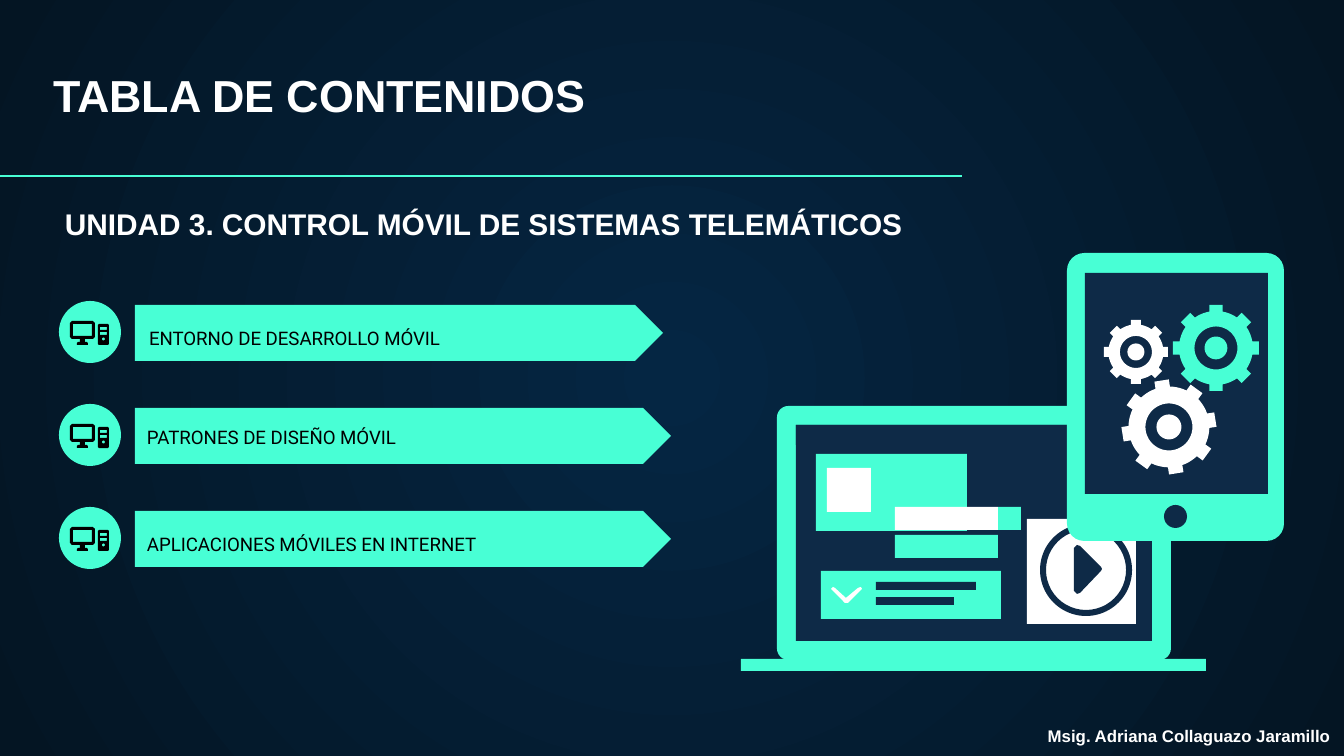
from itertools import product
from math import asin, cos, pi, radians, sin

from lxml import etree
from pptx import Presentation
from pptx.dml.color import RGBColor
from pptx.enum.shapes import MSO_CONNECTOR, MSO_SHAPE
from pptx.enum.text import MSO_ANCHOR, PP_ALIGN
from pptx.oxml.ns import qn
from pptx.util import Pt

RECT, ROUND = MSO_SHAPE.RECTANGLE, MSO_SHAPE.ROUNDED_RECTANGLE
OVAL, DONUT, ARROW = MSO_SHAPE.OVAL, MSO_SHAPE.DONUT, MSO_SHAPE.PENTAGON
STRAIGHT = MSO_CONNECTOR.STRAIGHT
TOP, MIDDLE, BOTTOM = MSO_ANCHOR.TOP, MSO_ANCHOR.MIDDLE, MSO_ANCHOR.BOTTOM
LEFT, RIGHT, JUSTIFY = PP_ALIGN.LEFT, PP_ALIGN.RIGHT, PP_ALIGN.JUSTIFY

SCALE = 914400 / 134.4
WIDE, HIGH = 1344, 756
COLORS = {"mint": "48FFD5", "navy": "0E2A47", "white": "FFFFFF",
          "black": "000000", "core": "052643", "edge": "041523"}

SCREEN = [(2, 0), (23, 0), (25, 2), (25, 16), (23, 18), (15, 18), (15, 21),
          (17, 21), (18, 22), (18, 24), (7, 24), (7, 22), (8, 21), (10, 21),
          (10, 18), (2, 18), (0, 16), (0, 2)]
GLASS = [(3, 3), (22, 3), (22, 15), (3, 15)]
TOWER = [(29, 3), (38, 3), (39, 4), (39, 23), (38, 24), (29, 24), (28, 23), (28, 4)]
SLOTS = [[(30, y), (37, y), (37, y + 3), (30, y + 3)] for y in (6, 11)]
CHECK = [(0, 2), (2, 0), (4, 1), (15, 11), (27, 1), (30, 0), (31, 2), (17, 16), (14, 16)]
PLAY = [(0, 3), (3, 0), (6, 1), (27, 22), (28, 24), (27, 26), (6, 48), (3, 49), (0, 46)]

ROWS = [
    ("ENTORNO DE DESARROLLO MÓVIL", 528, (77, 4, 435, 56), {}),
    ("PATRONES DE DISEÑO MÓVIL", 536, (75, 7, 528, 50), {"align": JUSTIFY, "space": 1.5}),
    ("APLICACIONES MÓVILES EN INTERNET", 536, (75, 4, 521, 56), {}),
]


def emu(px):
    """Turn px into EMU."""
    return round(px * SCALE)


def tint(name):
    """Return the named colour."""
    return RGBColor.from_string(COLORS[name])


def paint(item, color):
    """Give a shape a flat fill without line or shadow."""
    item.shadow.inherit = False
    item.fill.solid()
    item.fill.fore_color.rgb = tint(color)
    item.line.fill.background()
    return item


def shape(slide, kind, x, y, w, h, color, adj=None):
    """Add a flat preset shape."""
    item = slide.shapes.add_shape(kind, emu(x), emu(y), emu(w), emu(h))
    if adj is not None:
        item.adjustments[0] = adj
    return paint(item, color)


def outline(slide, x, y, loops, color):
    """Add a freeform whose later loops cut or refill the first."""
    loops = [[(emu(x + a), emu(y + b)) for a, b in loop] for loop in loops]
    pen = slide.shapes.build_freeform(*loops[0][0], scale=1.0)
    pen.add_line_segments(loops[0][1:], close=True)
    for loop in loops[1:]:
        pen.move_to(*loop[0])
        pen.add_line_segments(loop[1:], close=True)
    return paint(pen.convert_to_shape(), color)


def write(slide, x, y, w, h, text, font="Arial", size=10, color="white", bold=False,
          align=LEFT, anchor=TOP, pad=13, space=1):
    """Add a text box with one formatted paragraph."""
    frame = slide.shapes.add_textbox(emu(x), emu(y), emu(w), emu(h)).text_frame
    frame.word_wrap = True
    frame.vertical_anchor = anchor
    frame.margin_left = frame.margin_right = emu(13)
    frame.margin_top = frame.margin_bottom = emu(pad)
    line = frame.paragraphs[0]
    line.text = text
    line.alignment, line.line_spacing = align, space
    line.font.name, line.font.size, line.font.bold = font, Pt(size), bold
    line.font.color.rgb = tint(color)


def ring(r, x=0, y=0):
    """Return the points of a circle."""
    return [(x + r * cos(k * pi / 24), y + r * sin(k * pi / 24)) for k in range(48)]


def gear(slide, x, y, r, color, turn=0):
    """Add a gear of eight teeth around a centre."""
    root, half = 0.86 * r, 0.155 * r
    lean = asin(half / root)
    rim = []
    for k in range(8):
        t = radians(turn) + k * pi / 4
        for a, b in ((r, -half), (r, half)):
            rim.append((a * cos(t) - b * sin(t), a * sin(t) + b * cos(t)))
        for j in range(6):
            s = t + lean + j * (pi / 4 - 2 * lean) / 5
            rim.append((root * cos(s), root * sin(s)))
    outline(slide, x, y, [rim, ring(0.5 * r), ring(0.265 * r)], color)


def backdrop(slide):
    """Fill the slide with a round gradient."""
    fill = slide.background.fill
    fill.gradient()
    for stop, name in zip(fill.gradient_stops, ("core", "edge")):
        stop.color.rgb = tint(name)
    grad = next(slide.element.iter(qn("a:gradFill")))
    grad.remove(grad.find(qn("a:lin")))
    way = etree.SubElement(grad, qn("a:path"), path="circle")
    etree.SubElement(way, qn("a:fillToRect"), l="50000", t="50000", r="50000", b="50000")


def header(slide, x, y):
    """Add the title, its rule and the unit name."""
    write(slide, x + 40, y + 36, 1263, 117, "TABLA DE CONTENIDOS",
          size=24, bold=True, anchor=MIDDLE)
    rule = slide.shapes.add_connector(STRAIGHT, emu(x), emu(y + 176), emu(x + 962), emu(y + 176))
    rule.line.color.rgb = tint("mint")
    rule.line.width = Pt(0.75)
    etree.SubElement(rule.element.spPr, qn("a:effectLst"))
    write(slide, x + 52, y + 199, 921, 50, "UNIDAD 3. CONTROL MÓVIL DE SISTEMAS TELEMÁTICOS",
          size=16, bold=True, pad=7)


def entry(slide, x, y, text, width, box, style):
    """Add one topic with its badge and arrow."""
    shape(slide, ARROW, x + 76, y + 4, width, 56, "mint", 0.5)
    shape(slide, OVAL, x, y, 62, 62, "mint")
    outline(slide, x + 11, y + 20, [SCREEN, GLASS], "black")
    outline(slide, x + 11, y + 20, [TOWER, *SLOTS, ring(1.5, 33.5, 18)], "black")
    left, top, w, h = box
    write(slide, x + left, y + top, w, h, text, font="Roboto", color="black",
          anchor=BOTTOM, **style)


def laptop(slide, x, y):
    """Add the laptop with its page and player."""
    shape(slide, ROUND, x + 36, y, 394, 254, "mint", 0.045)
    for a, b, w, h, color in (
        (55, 19, 356, 216, "navy"), (0, 253, 465, 12, "mint"),
        (55, 19, 356, 20, "navy"), (75, 48, 151, 77, "mint"),
        (86, 62, 44, 44, "white"), (127, 165, 133, 48, "mint"),
        (135, 176, 100, 8, "navy"), (135, 191, 78, 8, "navy"),
        (80, 165, 47, 48, "mint"), (154, 129, 103, 23, "mint"),
        (154, 101, 103, 23, "white"), (257, 101, 23, 23, "mint"),
        (286, 113, 109, 105, "white"),
    ):
        shape(slide, RECT, x + a, y + b, w, h, color)
    outline(slide, x + 90, y + 181, [CHECK], "white")
    shape(slide, DONUT, x + 299, y + 118, 92, 92, "navy", 0.065)
    outline(slide, x + 333, y + 139, [PLAY], "navy")


def tablet(slide, x, y):
    """Add the tablet with its gears."""
    shape(slide, ROUND, x, y, 217, 288, "mint", 0.08)
    shape(slide, RECT, x + 18, y + 20, 183, 221, "navy")
    shape(slide, OVAL, x + 97, y + 252, 23, 23, "navy")
    gear(slide, x + 149, y + 95, 43, "mint")
    gear(slide, x + 69, y + 99, 32, "white")
    gear(slide, x + 102, y + 174, 47, "white", turn=-9)


def main():
    """Build and save the slide."""
    deck = Presentation()
    deck.slide_width, deck.slide_height = emu(WIDE), emu(HIGH)
    slide = deck.slides.add_slide(deck.slide_layouts[6])
    backdrop(slide)
    header(slide, 0, 0)
    for k, row in enumerate(ROWS):
        entry(slide, 59, 301 + 103 * k, *row)
    laptop(slide, 741, 406)
    tablet(slide, 1067, 253)
    write(slide, 938, 719, 405, 34, "Msig. Adriana Collaguazo Jaramillo",
          size=9, bold=True, align=RIGHT, pad=7)
    deck.save("out.pptx")


if __name__ == "__main__":
    main()
